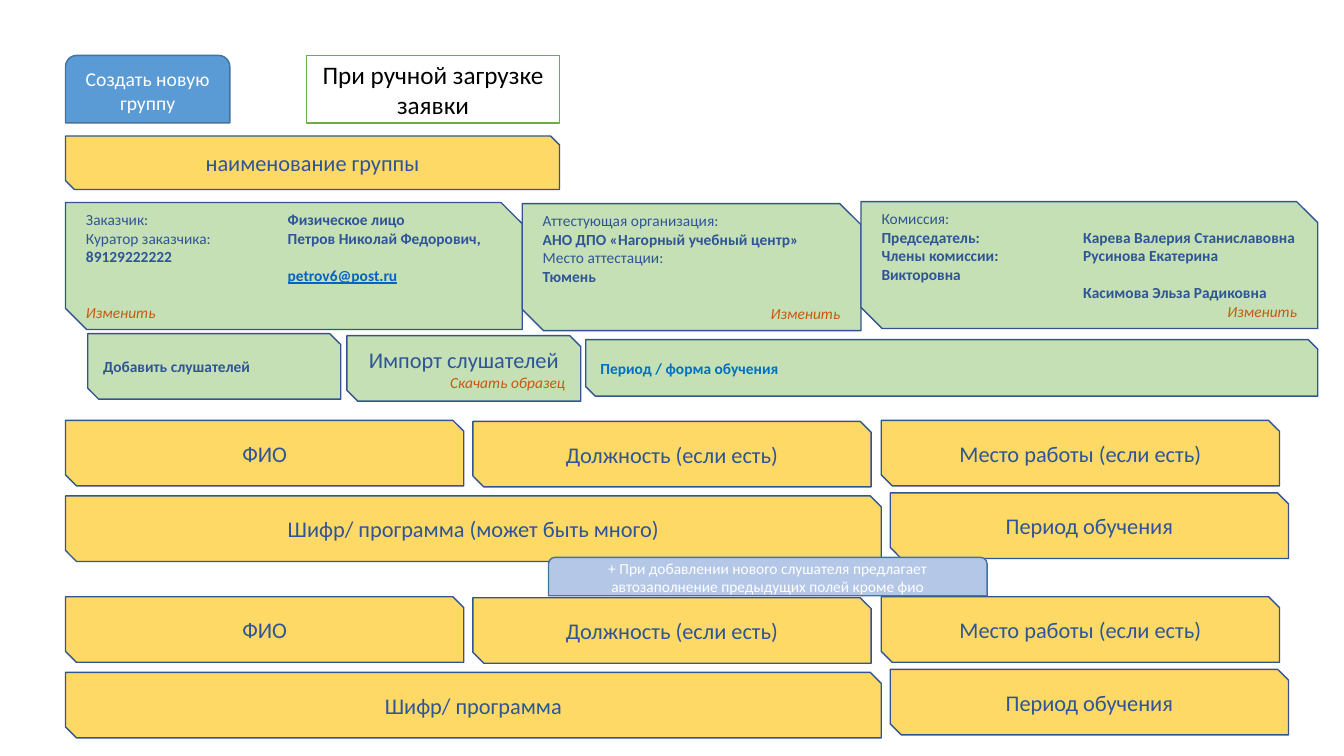
from lxml.etree import SubElement
from pptx import Presentation
from pptx.dml.color import RGBColor
from pptx.enum.shapes import MSO_SHAPE as SHAPE
from pptx.enum.text import MSO_ANCHOR, PP_ALIGN as AL
from pptx.oxml.ns import qn
from pptx.util import Inches, Pt

COLORS = {
    "blue": "5B9BD5", "pale": "B4C7E7", "yellow": "FFD966", "green": "C5E0B4",
    "white": "FFFFFF", "black": "000000", "navy": "2F5597", "edge": "325491",
    "button_edge": "43739E", "title_edge": "70AD47", "orange": "C55A11",
    "link": "0563C1", "period": "0070C0",
}
# Text styles: size, colour key, other font attributes
STYLES = {
    "button": (14, "white", {}),
    "title": (18, "black", {}),
    "hint": (11, "white", {}),
    "field": (16, "navy", {}),
    "label": (11, "navy", {}),
    "value": (11, "navy", {"bold": True}),
    "link": (11, "link", {"bold": True, "underline": True}),
    "action": (11, "orange", {"italic": True}),
    "period": (11, "period", {"bold": True}),
}
LINE_GAP = 13.4  # one empty 11 pt line

prs = Presentation()
prs.slide_width, prs.slide_height = Inches(13.33), Inches(7.5)
s = prs.slides.add_slide(prs.slide_layouts[6])


def rgb(key):
    return RGBColor.from_string(COLORS[key])


def add_box(kind, box, fill, edge, paragraphs):
    """Each paragraph is (alignment, space before, [(text, style), ...])."""
    sp = s.shapes.add_shape(kind, *[Inches(v) for v in box])
    sp.shadow.inherit = False
    sp.fill.solid()
    sp.fill.fore_color.rgb = rgb(fill)
    sp.line.color.rgb = rgb(edge)
    sp.line.width = Pt(1)
    tf = sp.text_frame
    tf.word_wrap = True
    tf.vertical_anchor = MSO_ANCHOR.MIDDLE
    for i, (align, gap, runs) in enumerate(paragraphs):
        p = tf.add_paragraph() if i else tf.paragraphs[0]
        p.alignment = align
        p.space_before = Pt(gap)
        if any("\t" in text for text, _ in runs):
            tabs = SubElement(p._p.get_or_add_pPr(), qn("a:tabLst"))
            SubElement(tabs, qn("a:tab"), pos=str(Inches(2)), algn="l")
        for text, style in runs:
            size, color, attrs = STYLES[style]
            r = p.add_run()
            r.text = text
            r.font.name, r.font.size = "Calibri", Pt(size)
            r.font.color.rgb = rgb(color)
            for name, value in attrs.items():
                setattr(r.font, name, value)


SNIP, ROUND = SHAPE.SNIP_2_DIAG_RECTANGLE, SHAPE.ROUND_2_SAME_RECTANGLE

# Header
add_box(ROUND, (0.65, 0.55, 1.63, 0.67), "blue", "button_edge",
        [(AL.CENTER, 0, [("Создать новую группу", "button")])])
add_box(SHAPE.RECTANGLE, (3.04, 0.55, 2.51, 0.67), "white", "title_edge",
        [(AL.CENTER, 0, [("При ручной загрузке заявки", "title")])])

# Customer, certifying organisation and commission; then the action bar
panels = [
    ((0.65, 2.01, 4.53, 1.26), [
        (AL.LEFT, 0, [("Заказчик:\t", "label"), ("Физическое лицо", "value")]),
        (AL.LEFT, 0, [("Куратор заказчика:\t", "label"),
                      ("Петров Николай Федорович,", "value")]),
        (AL.LEFT, 0, [("89129222222", "value")]),
        (AL.LEFT, 0, [("\t", "value"), ("petrov6@post.ru", "link")]),
        (AL.LEFT, LINE_GAP, [("Изменить", "action")])]),
    ((5.18, 2.02, 3.36, 1.26), [
        (AL.LEFT, 0, [("Аттестующая организация:", "label")]),
        (AL.LEFT, 0, [("АНО ДПО «Нагорный учебный центр»", "value")]),
        (AL.LEFT, 0, [("Место аттестации:", "label")]),
        (AL.LEFT, 0, [("Тюмень", "value")]),
        (AL.RIGHT, LINE_GAP, [("Изменить", "action")])]),
    ((8.54, 2.0, 4.53, 1.26), [
        (AL.LEFT, 0, [("Комиссия:", "label")]),
        (AL.LEFT, 0, [("Председатель:\tКарева Валерия Станиславовна", "value")]),
        (AL.LEFT, 0, [("Члены комиссии:\tРусинова Екатерина Викторовна", "value")]),
        (AL.LEFT, 0, [("\tКасимова Эльза Радиковна", "value")]),
        (AL.RIGHT, 0, [("Изменить", "action")])]),
    ((0.87, 3.31, 2.51, 0.65), [(AL.LEFT, 0, [("Добавить слушателей", "value")])]),
    ((3.44, 3.33, 2.32, 0.65), [
        (AL.CENTER, 0, [("Импорт слушателей", "field")]),
        (AL.RIGHT, 0, [("Скачать образец", "action")])]),
    ((5.81, 3.37, 7.26, 0.56), [
        (AL.LEFT, 0, [("Период / форма обучения", "period")])]),
]
for box, paragraphs in panels:
    add_box(SNIP, box, "green", "edge", paragraphs)

# Group name and the fields of two trainees
fields = [((0.65, 1.35, 4.9, 0.53), "наименование группы")]
for top, program in ((4.17, "Шифр/ программа (может быть много)"),
                     (5.92, "Шифр/ программа")):
    fields += [
        ((0.65, top, 3.95, 0.65), "ФИО"),
        ((4.69, top + 0.01, 3.95, 0.65), "Должность (если есть)"),
        ((8.74, top, 3.95, 0.65), "Место работы (если есть)"),
        ((0.65, top + 0.75, 8.09, 0.65), program),
        ((8.83, top + 0.72, 3.95, 0.65), "Период обучения"),
    ]
for box, text in fields:
    add_box(SNIP, box, "yellow", "edge", [(AL.CENTER, 0, [(text, "field")])])

# Autofill hint
add_box(ROUND, (5.44, 5.53, 4.35, 0.38), "pale", "button_edge",
        [(AL.CENTER, 0, [("+ При добавлении нового слушателя предлагает "
                          "автозаполнение предыдущих полей кроме фио", "hint")])])

prs.save("out.pptx")
